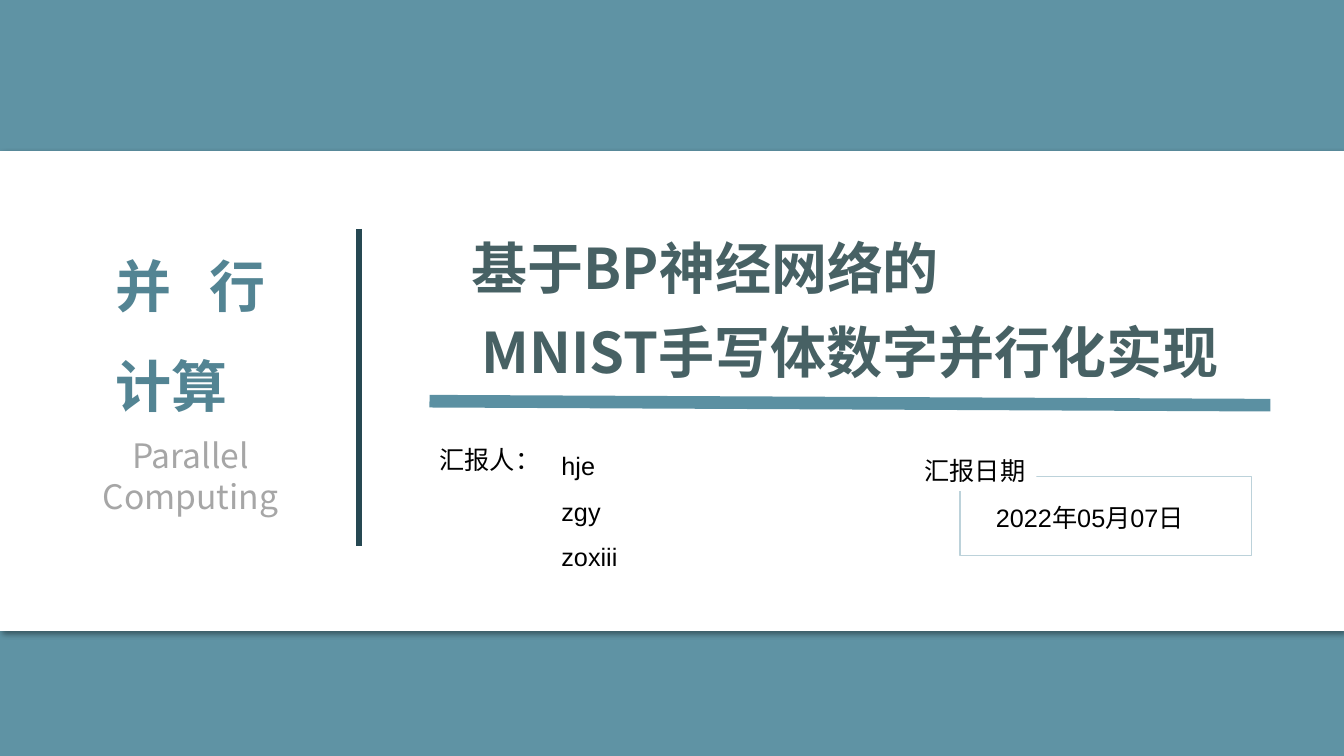
from lxml import etree
from pptx import Presentation
from pptx.dml.color import RGBColor
from pptx.enum import shapes, text
from pptx.oxml.ns import qn
from pptx.util import Inches, Pt

TEAL = RGBColor(0x5F, 0x93, 0xA4)
RULE_TEAL = RGBColor(0x5B, 0x90, 0xA2)
DARK_TEAL = RGBColor(0x26, 0x48, 0x52)
TITLE_GREEN = RGBColor(0x47, 0x61, 0x64)
COURSE_TEAL = RGBColor(0x53, 0x84, 0x93)
FRAME = RGBColor(0xBC, 0xD2, 0xDA)
GREY = RGBColor(0xA6, 0xA6, 0xA6)
WHITE = RGBColor(0xFF, 0xFF, 0xFF)
BLACK = RGBColor(0, 0, 0)
CJK = "Noto Sans CJK SC"
LATIN = "Arial"
LEFT, CENTER, JUSTIFY = (text.PP_ALIGN.LEFT, text.PP_ALIGN.CENTER,
                         text.PP_ALIGN.JUSTIFY)


def place(sp, left, top, width, height):
    sp.left, sp.top = Inches(left), Inches(top)
    sp.width, sp.height = Inches(width), Inches(height)


def write(sp, lines, size, color, font=CJK, bold=False, align=LEFT,
          spacing=1.0, wrap=True):
    tf = sp.text_frame
    tf.word_wrap = wrap
    tf.auto_size = text.MSO_AUTO_SIZE.SHAPE_TO_FIT_TEXT
    tf.vertical_anchor = text.MSO_ANCHOR.TOP
    tf.text = "\n".join(lines)
    for p in tf.paragraphs:
        p.alignment = align
        p.line_spacing = spacing
        p.font.name = font
        p.font.size = Pt(size)
        p.font.bold = bold
        p.font.color.rgb = color
        latin = p._p.pPr.find(qn("a:defRPr")).find(qn("a:latin"))
        east_asian = etree.Element(qn("a:ea"), typeface=CJK)
        latin.addnext(east_asian)


def add_text(slide, box, lines, size, color, **style):
    sp = slide.shapes.add_textbox(*map(Inches, box))
    write(sp, lines, size, color, **style)


def add_rect(slide, box, fill=None, line=None):
    sp = slide.shapes.add_shape(shapes.MSO_SHAPE.RECTANGLE, *map(Inches, box))
    sp.shadow.inherit = False
    if fill is None:
        sp.fill.background()
    else:
        sp.fill.solid()
        sp.fill.fore_color.rgb = fill
    if line is None:
        sp.line.fill.background()
    else:
        sp.line.color.rgb = line
        sp.line.width = Pt(1)
    return sp


def add_rule(slide, ends, color, width):
    line = slide.shapes.add_connector(shapes.MSO_CONNECTOR.STRAIGHT,
                                      *map(Inches, ends))
    line.line.color.rgb = color
    line.line.width = Pt(width)
    etree.SubElement(line._element.spPr, qn("a:effectLst"))


def add_shadow(sp):
    effects = sp._element.spPr.find(qn("a:effectLst"))
    shadow = etree.SubElement(effects, qn("a:outerShdw"), blurRad=str(Pt(4)),
                              dist=str(Pt(3)), dir=str(45 * 60000),
                              algn="tl", rotWithShape="0")
    color = etree.SubElement(shadow, qn("a:srgbClr"), val=str(BLACK))
    etree.SubElement(color, qn("a:alpha"), val="40000")


def add_title(slide):
    title = slide.shapes.title
    place(title, 4.58, 2.27, 7.7, 0.77)
    write(title, ["基于BP神经网络的"], 40, TITLE_GREEN, bold=True, align=JUSTIFY)
    # Bring the title in front of the white band
    slide.shapes._spTree.append(title._element)
    add_text(slide, (4.58, 3.1, 7.7, 0.77), ["MNIST手写体数字并行化实现"], 40,
             TITLE_GREEN, bold=True, align=CENTER)


def add_course(slide):
    add_text(slide, (1.05, 2.11, 1.68, 2), ["并行计算"], 40, COURSE_TEAL,
             bold=True, align=JUSTIFY, spacing=1.5)
    add_text(slide, (0.71, 4.27, 2.36, 0.91), ["Parallel Computing"], 24, GREY,
             align=CENTER)


def add_presenters(slide):
    add_text(slide, (4.26, 4.21, 1.21, 0.5), ["汇报人："], 18, BLACK,
             spacing=1.5, wrap=False)
    add_text(slide, (5.47, 4.27, 0.76, 1.41), ["hje", "zgy", "zoxiii"], 18,
             BLACK, font=LATIN, spacing=1.5, wrap=False)


def add_date(slide):
    add_text(slide, (9.78, 4.93, 2.37, 0.4), ["2022年05月07日"], 18, BLACK,
             font=LATIN, align=JUSTIFY)
    add_rect(slide, (9.52, 4.73, 2.89, 0.78), line=FRAME)
    label = add_rect(slide, (9.07, 4.47, 1.21, 0.4), fill=WHITE)
    write(label, ["汇报日期"], 18, BLACK, wrap=False)


def main():
    prs = Presentation()
    prs.slide_width, prs.slide_height = Inches(13.33), Inches(7.5)
    slide = prs.slides.add_slide(prs.slide_layouts[5])
    slide.background.fill.solid()
    slide.background.fill.fore_color.rgb = TEAL

    add_shadow(add_rect(slide, (0, 1.5, 13.33, 4.76), fill=WHITE))
    add_rule(slide, (3.56, 2.27, 3.56, 5.42), DARK_TEAL, 4.5)
    add_title(slide)
    add_course(slide)
    add_rule(slide, (4.26, 3.98, 12.6, 4.02), RULE_TEAL, 9)
    add_presenters(slide)
    add_date(slide)
    prs.save("out.pptx")


if __name__ == "__main__":
    main()
